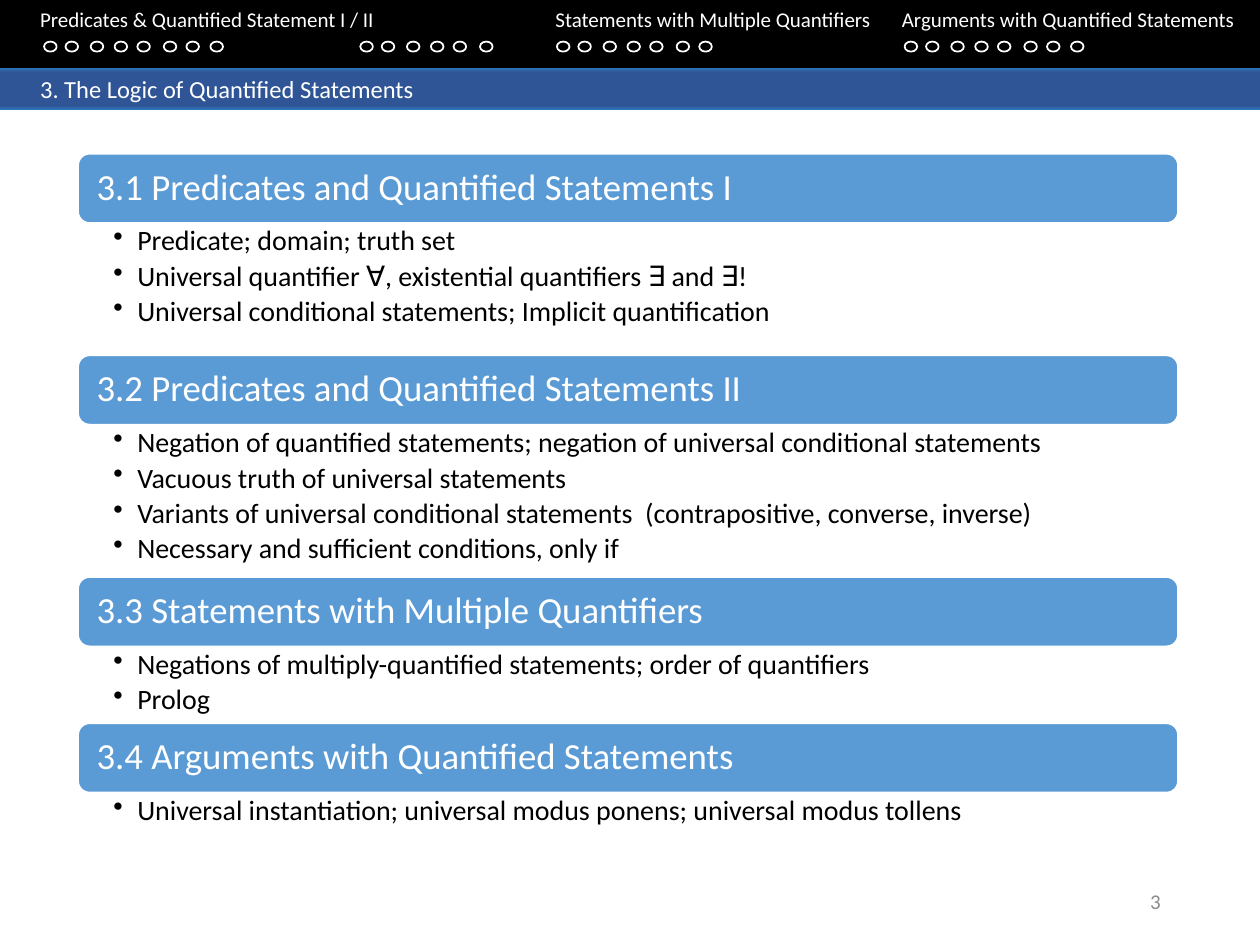
from dataclasses import dataclass

import pptx
import pptx.dml.color
import pptx.enum.shapes
import pptx.enum.text
import pptx.oxml
import pptx.oxml.ns
import pptx.util

Inches = pptx.util.Inches
Pt = pptx.util.Pt
qn = pptx.oxml.ns.qn
SHAPE = pptx.enum.shapes.MSO_SHAPE
ANCHOR = pptx.enum.text.MSO_ANCHOR
ALIGN = pptx.enum.text.PP_ALIGN


@dataclass(frozen=True)
class Theme:
    font: str = "Calibri"
    white: str = "FFFFFF"
    black: str = "000000"
    grey: str = "8C8C8C"
    section: str = "5B9BD5"
    bar_stops: tuple = ((0, "2E75B6"), (11, "2F5597"), (91, "2F5597"), (100, "2E75B6"))
    small: int = 12
    bar: int = 14
    bullet: int = 16
    heading: int = 21


def rgb(color):
    return pptx.dml.color.RGBColor.from_string(color)


def add_child(parent, tag, **attributes):
    child = parent.makeelement(qn(tag), attributes)
    parent.append(child)
    return child


class Deck:
    def __init__(self, prs, theme):
        self.theme = theme
        self.s = prs.slides.add_slide(prs.slide_layouts[6])

    def shape(self, kind, left, top, width, height, fill=None, line=None):
        sp = self.s.shapes.add_shape(
            kind, Inches(left), Inches(top), Inches(width), Inches(height))
        sp.shadow.inherit = False
        if fill:
            sp.fill.solid()
            sp.fill.fore_color.rgb = rgb(fill)
        else:
            sp.fill.background()
        if line:
            sp.line.color.rgb = rgb(line)
            sp.line.width = Pt(1)
        else:
            sp.line.fill.background()
        return sp

    def gradient_bar(self, top, height):
        sp = self.shape(SHAPE.RECTANGLE, 0, top, 10, height)
        sp.fill.gradient()
        sp.fill.gradient_angle = 270
        stops = sp._element.spPr.find(qn("a:gradFill")).find(qn("a:gsLst"))
        for stop in list(stops):
            stops.remove(stop)
        for percent, color in self.theme.bar_stops:
            stop = add_child(stops, "a:gs", pos=str(percent * 1000))
            add_child(stop, "a:srgbClr", val=color)
        return sp

    def textbox(self, left, top, width, height):
        return self.s.shapes.add_textbox(
            Inches(left), Inches(top), Inches(width), Inches(height))

    def frame(self, sp, anchor=ANCHOR.TOP, margins=(0.1, 0.05, 0.1, 0.05)):
        """Set wrapping, anchor and left, top, right, bottom margins."""
        tf = sp.text_frame
        tf.word_wrap = True
        tf.vertical_anchor = anchor
        tf.margin_left, tf.margin_top, tf.margin_right, tf.margin_bottom = map(Inches, margins)
        return tf

    def set_text(self, p, text, size, color, align=ALIGN.LEFT):
        p.add_run().text = text
        p.alignment = align
        p.font.name = self.theme.font
        p.font.size = Pt(size)
        p.font.color.rgb = rgb(color)

    def tabbed_line(self, sp, labels, stops, size):
        p = self.frame(sp).paragraphs[0]
        tabs = add_child(p._p.get_or_add_pPr(), "a:tabLst")
        for stop in stops:
            add_child(tabs, "a:tab", pos=str(Inches(stop)), algn="l")
        self.set_text(p, "".join("\t" + label for label in labels), size, self.theme.white)

    def dots(self, left, count):
        for offset in (0, 0.17, 0.37, 0.56, 0.74, 0.95, 1.13, 1.32)[:count]:
            self.shape(SHAPE.OVAL, left + offset, 0.33, 0.1, 0.08, line=self.theme.white)

    def heading(self, text, left, top, width, height):
        t = self.theme
        sp = self.shape(SHAPE.ROUNDED_RECTANGLE, left, top, width, height, t.section, t.white)
        tf = self.frame(sp, ANCHOR.MIDDLE, (0.12, 0.09, 0.12, 0.09))
        self.set_text(tf.paragraphs[0], text, t.heading, t.white)
        tf.paragraphs[0].line_spacing = 0.9

    def bullets(self, items, left, top, width, height):
        tf = self.frame(self.textbox(left, top, width, height), margins=(0.28, 0.03, 0.16, 0.03))
        for i, item in enumerate(items):
            p = tf.add_paragraph() if i else tf.paragraphs[0]
            pPr = p._p.get_or_add_pPr()
            pPr.set("marL", str(Inches(0.19)))
            pPr.set("indent", str(Inches(-0.19)))
            add_child(pPr, "a:buChar", char="•")
            self.set_text(p, item, self.theme.bullet, self.theme.black)
            p.line_spacing = 0.9
            p.space_after = Pt(3)

    def page_number(self, number):
        tf = self.frame(self.textbox(7.06, 6.95, 2.25, 0.4), ANCHOR.MIDDLE)
        self.set_text(tf.paragraphs[0], str(number), self.theme.small, self.theme.grey, ALIGN.RIGHT)


# Heading, height of the bullet list, bullets
SECTIONS = [
    ("3.1 Predicates and Quantified Statements I", 1.05, [
        "Predicate; domain; truth set",
        "Universal quantifier ∀, existential quantifiers ∃ and ∃!",
        "Universal conditional statements; Implicit quantification"]),
    ("3.2 Predicates and Quantified Statements II", 1.21, [
        "Negation of quantified statements; negation of universal conditional statements",
        "Vacuous truth of universal statements",
        "Variants of universal conditional statements  (contrapositive, converse, inverse)",
        "Necessary and sufficient conditions, only if"]),
    ("3.3 Statements with Multiple Quantifiers", 0.61, [
        "Negations of multiply-quantified statements; order of quantifiers",
        "Prolog"]),
    ("3.4 Arguments with Quantified Statements", 0.38, [
        "Universal instantiation; universal modus ponens; universal modus tollens"]),
]
NAVIGATION = [
    "Predicates & Quantified Statement I / II",
    "Statements with Multiple Quantifiers",
    "Arguments with Quantified Statements",
]
DOT_GROUPS = [(0.35, 8), (4.42, 7), (7.18, 8), (2.86, 6)]


def main():
    prs = pptx.Presentation()
    prs.slide_width, prs.slide_height = Inches(10), Inches(7.5)
    theme = Theme()
    deck = Deck(prs, theme)

    deck.gradient_bar(0.53, 0.3)
    deck.page_number(3)
    title_bar = deck.gradient_bar(0.54, 0.33)
    deck.tabbed_line(title_bar, ["3. The Logic of Quantified Statements"], [0.22], theme.bar)

    left, top, width, heading_height = 0.62, 1.22, 8.73, 0.55
    for heading, list_height, items in SECTIONS:
        deck.heading(heading, left, top, width, heading_height)
        top += heading_height
        deck.bullets(items, left, top, width, list_height)
        top += list_height

    deck.shape(SHAPE.RECTANGLE, 0, -0.02, 10, 0.56, theme.black)
    deck.tabbed_line(deck.textbox(0, 0, 10, 0.5), NAVIGATION,
                     [0.22, 2.75, 4.31, 7.06, 9.42], theme.small)
    for group_left, count in DOT_GROUPS:
        deck.dots(group_left, count)

    prs.save("out.pptx")


if __name__ == "__main__":
    main()
